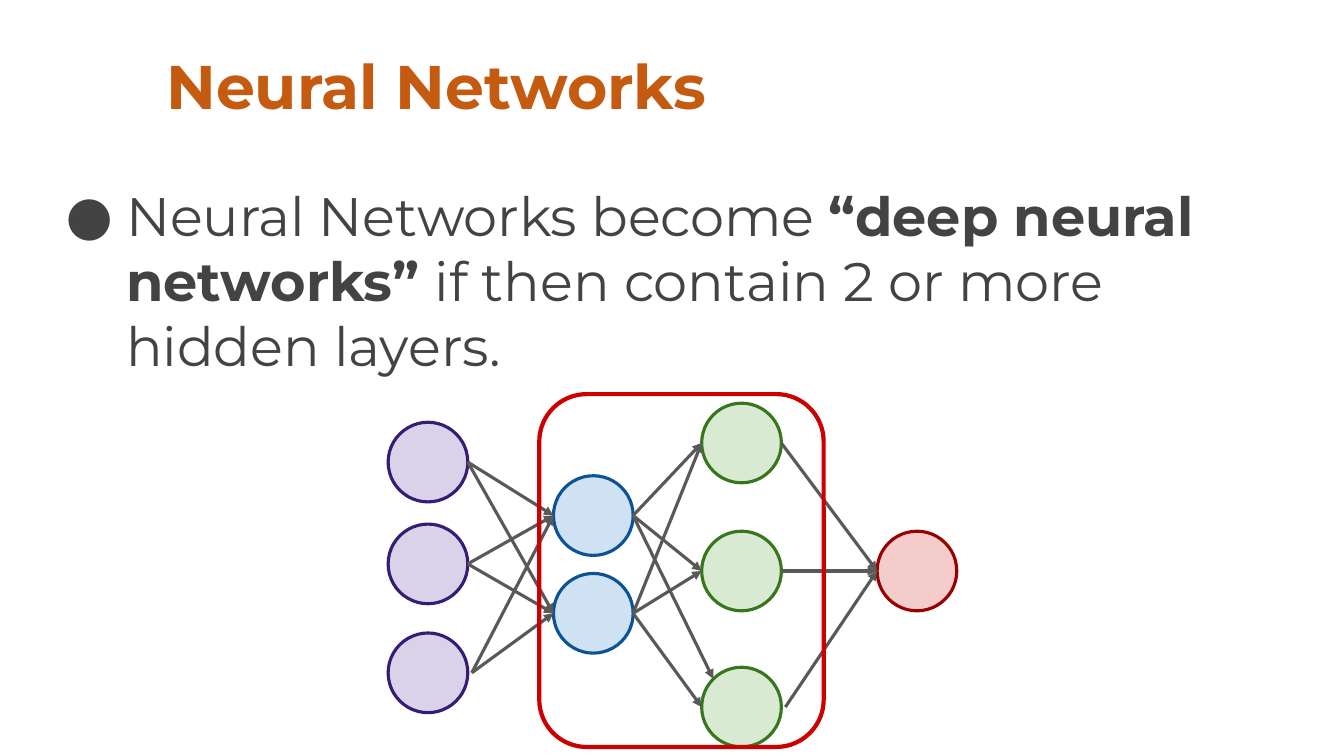
from itertools import product
from lxml import etree
from pptx import Presentation
from pptx.dml.color import RGBColor as Rgb
from pptx.enum.shapes import MSO_CONNECTOR as Link, MSO_SHAPE as Kind
from pptx.oxml.ns import qn
from pptx.util import Inches, Pt

WIDE, HIGH = Inches(13.33), Inches(7.5)
FONT = "Montserrat"
COLORS = {"title": "C55A11", "body": "434343", "arrow": "595959", "frame": "CC0000"}

# Shares of the slide in percent: left, top, width, height
TITLE = (11.4, 5.73, 85.22, 11.2)
BODY = (3.38, 22.4, 94.97, 66.4)
NET = (28.88, 52.13, 42.31, 46.67)

# Offsets in the network box: column left, node tops, fill, line
LAYERS = [
    (0, (3.73, 17.2, 31.6), "D9D2E9", "351C75"),
    (12.3, (10.8, 23.73), "CFE2F3", "0B5394"),
    (23.33, (1.2, 18.13, 36.13), "D9EAD3", "38761D"),
    (36.38, (18.13,), "F4CCCC", "990000"),
]
NODE = Inches(0.79)
GAPS = {(0, 2): 0.3, (2, 2): 0.3}  # arrow start gap by (layer, node)
CORNER = (1, 0, 2)  # layer, start, end of the arrow that meets the rim up left
RIM = 0.146  # up-left point of a circle, as a share of its diameter


def across(share):
    return round(WIDE * share / 100)


def down(share):
    return round(HIGH * share / 100)


def place(box):
    left, top, width, height = box
    return across(left), down(top), across(width), down(height)


def add_text(slide, box, runs, size, color, space=None, bullet=None):
    """Write runs, a list of (words, bold), as one paragraph."""
    frame = slide.shapes.add_textbox(*place(box)).text_frame
    frame.word_wrap = True
    frame.margin_left = frame.margin_right = Inches(0.13)
    frame.margin_top = frame.margin_bottom = Inches(0.13)
    para = frame.paragraphs[0]
    if space:
        para.line_spacing = space
    if bullet:
        props = para._p.get_or_add_pPr()
        props.set("marL", str(Inches(0.67)))
        props.set("indent", str(Inches(-0.6)))
        tint = etree.SubElement(props, qn("a:buClr"))
        etree.SubElement(tint, qn("a:srgbClr"), val=color)
        etree.SubElement(props, qn("a:buFont"), typeface=FONT)
        etree.SubElement(props, qn("a:buChar"), char=bullet)
    for words, bold in runs:
        run = para.add_run()
        run.text = words
        font = run.font
        font.name, font.size, font.bold = FONT, Pt(size), bold
        font.color.rgb = Rgb.from_string(color)


def add_shape(slide, kind, rect, line, weight, fill=None):
    shape = slide.shapes.add_shape(kind, *rect)
    shape.shadow.inherit = False
    if fill:
        shape.fill.solid()
        shape.fill.fore_color.rgb = Rgb.from_string(fill)
    else:
        shape.fill.background()
    shape.line.color.rgb = Rgb.from_string(line)
    shape.line.width = Pt(weight)
    return shape


def add_arrow(slide, start, end):
    arrow = slide.shapes.add_connector(Link.STRAIGHT, *start, *end)
    arrow.line.color.rgb = Rgb.from_string(COLORS["arrow"])
    arrow.line.width = Pt(2.25)
    etree.SubElement(arrow.line._get_or_add_ln(), qn("a:tailEnd"), type="triangle")
    etree.SubElement(arrow._element.spPr, qn("a:effectLst"))


def add_net(slide, box):
    """Draw the layers, join each to the next, and frame the hidden ones."""
    left, top, _, height = box
    nodes = []
    for col, rows, fill, line in LAYERS:
        spots = [(across(left + col), down(top + row)) for row in rows]
        for spot in spots:
            add_shape(slide, Kind.OVAL, (*spot, NODE, NODE), line, 2.25, fill)
        nodes.append(spots)

    for layer, (near, far) in enumerate(zip(nodes, nodes[1:])):
        for (i, (x, y)), (j, goal) in product(enumerate(near), enumerate(far)):
            start = x + NODE + across(GAPS.get((layer, i), 0)), y + NODE // 2
            rim = (RIM, RIM) if (layer, i, j) == CORNER else (0, 0.5)
            end = [round(at + NODE * part) for at, part in zip(goal, rim)]
            add_arrow(slide, start, end)

    rect = place((left + 11.25, top, 21.16, height))
    add_shape(slide, Kind.ROUNDED_RECTANGLE, rect, COLORS["frame"], 3)


def main():
    deck = Presentation()
    deck.slide_width, deck.slide_height = WIDE, HIGH
    slide = deck.slides.add_slide(deck.slide_layouts[6])
    add_text(slide, TITLE, [("Neural Networks", True)], 44, COLORS["title"], space=0.9)
    claim = [
        ("Neural Networks become ", False),
        ("“deep neural networks” ", True),
        ("if then contain 2 or more hidden layers.", False),
    ]
    add_text(slide, BODY, claim, 38.7, COLORS["body"], bullet="●")
    add_net(slide, NET)
    deck.save("out.pptx")


if __name__ == "__main__":
    main()
